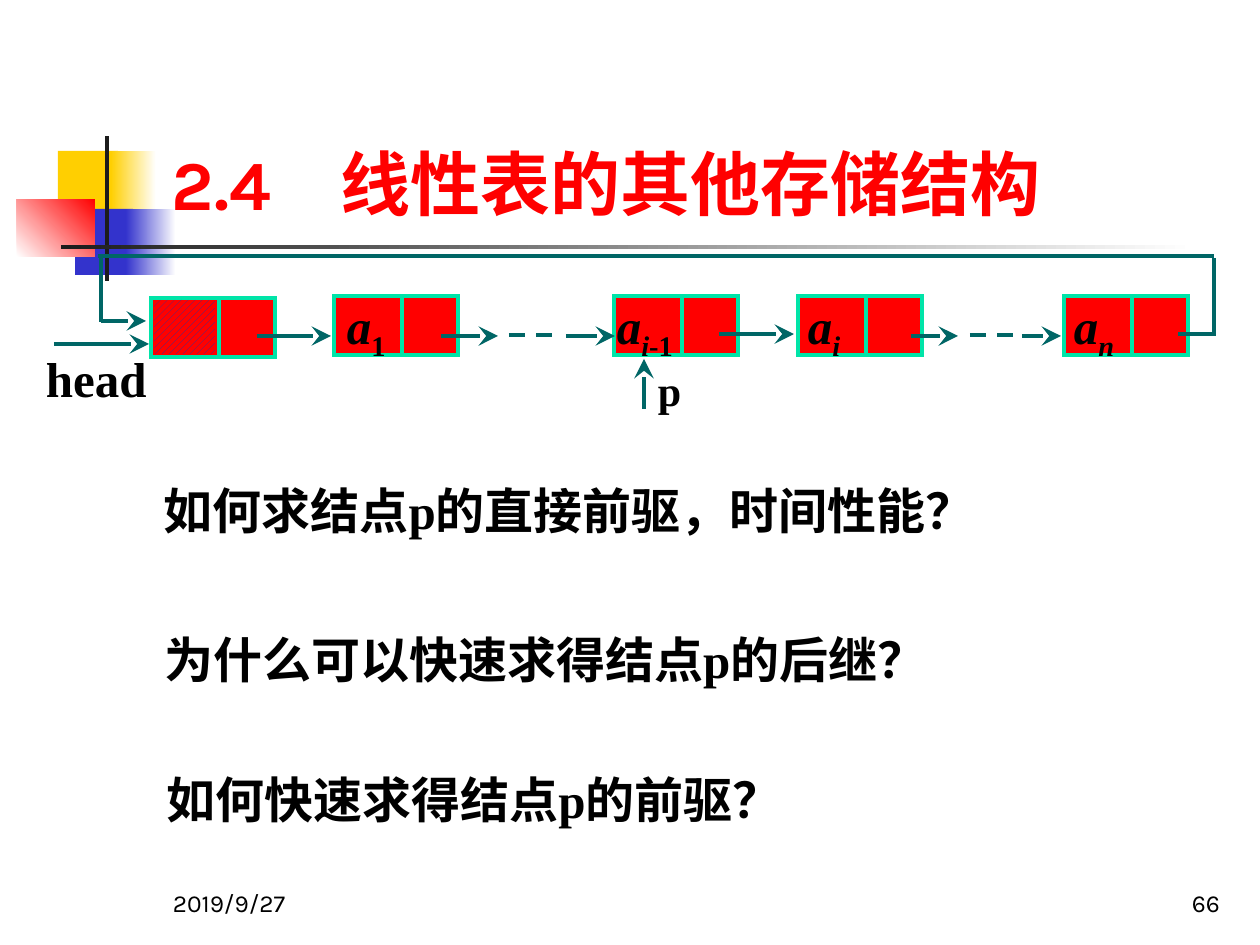
"""Build the slide on other storage structures for linear lists."""
from lxml import etree
from pptx import Presentation
from pptx.dml.color import RGBColor
from pptx.enum.dml import MSO_LINE, MSO_PATTERN
from pptx.enum.shapes import MSO_CONNECTOR, MSO_SHAPE
from pptx.enum.text import MSO_ANCHOR, PP_ALIGN
from pptx.oxml.ns import qn
from pptx.util import Emu, Pt

RECT = MSO_SHAPE.RECTANGLE
STRAIGHT = MSO_CONNECTOR.STRAIGHT
DASH = MSO_LINE.DASH
HATCH = MSO_PATTERN.WIDE_UPWARD_DIAGONAL
TOP, BOTTOM = MSO_ANCHOR.TOP, MSO_ANCHOR.BOTTOM
LEFT, RIGHT = PP_ALIGN.LEFT, PP_ALIGN.RIGHT

SERIF, SANS = "Times New Roman", "Karla"
BLACK, WHITE, RED = "000000", "FFFFFF", "FF0000"
TEAL, MINT, INK = "006666", "00E4A8", "1C1C1C"
YELLOW, BLUE, NAVY = "FFCF01", "3333CC", "333399"
NODE_WIDTH, NODE_HEIGHT, DATA_WIDTH = 124, 59, 68


def px(length):
    return Emu(round(length * 914400 / 126))


def rgb(value):
    return RGBColor.from_string(value)


def add_block(slide, x, y, w, h, color, end_color=None, angle=0):
    block = slide.shapes.add_shape(RECT, px(x), px(y), px(w), px(h))
    block.shadow.inherit = False
    block.line.fill.background()
    if end_color:
        block.fill.gradient()
        block.fill.gradient_angle = angle
        for stop, stop_color in zip(block.fill.gradient_stops, (color, end_color)):
            stop.color.rgb = rgb(stop_color)
    else:
        block.fill.solid()
        block.fill.fore_color.rgb = rgb(color)
    return block


def set_line(line, color):
    line.color.rgb = rgb(color)
    line.width = Pt(2.25)
    outline = line._get_or_add_ln()
    etree.SubElement(outline, qn("a:miter"), lim="800000")
    return outline


def add_line(slide, x1, y1, x2, y2, color=TEAL, arrow=False, dashed=False):
    link = slide.shapes.add_connector(STRAIGHT, px(x1), px(y1), px(x2), px(y2))
    outline = set_line(link.line, color)
    if dashed:
        link.line.dash_style = DASH
    if arrow:
        etree.SubElement(outline, qn("a:tailEnd"), type="stealth", w="lg", len="lg")
    etree.SubElement(link._element.spPr, qn("a:effectLst"))


def set_frame(frame, margins, anchor=TOP):
    frame.word_wrap = True
    frame.vertical_anchor = anchor
    (frame.margin_left, frame.margin_top,
     frame.margin_right, frame.margin_bottom) = map(px, margins)


def set_font(paragraph, size, face, color=BLACK, bold=True):
    paragraph.font.size = Pt(size)
    paragraph.font.name = face
    paragraph.font.bold = bold
    paragraph.font.color.rgb = rgb(color)


def add_text(slide, x, y, w, h, text, size, face=SERIF, color=BLACK, bold=True,
             margins=(13, 6, 13, 6), anchor=TOP, align=LEFT, tab=None):
    box = slide.shapes.add_textbox(px(x), px(y), px(w), px(h))
    set_frame(box.text_frame, margins, anchor)
    paragraph = box.text_frame.paragraphs[0]
    paragraph.add_run().text = text
    paragraph.alignment = align
    if tab:
        stops = etree.SubElement(paragraph._p.get_or_add_pPr(), qn("a:tabLst"))
        etree.SubElement(stops, qn("a:tab"), pos=str(px(tab)), algn="l")
    set_font(paragraph, size, face, color, bold)


def add_node(slide, x, y, indent=0, subscript=()):
    """Draw a list node; subscript holds (text, italic) pairs following "a"."""
    node = add_block(slide, x, y, NODE_WIDTH, NODE_HEIGHT, RED)
    set_line(node.line, MINT)
    if subscript:
        set_frame(node.text_frame, (indent, 0, 0, 10))
        paragraph = node.text_frame.paragraphs[0]
        paragraph.alignment = LEFT
        paragraph.line_spacing = 0.9
        set_font(paragraph, 28, SERIF)
        letter = paragraph.add_run()
        letter.text = "a"
        letter.font.italic = True
        for text, italic in subscript:
            index = paragraph.add_run()
            index.text = text
            index.font.italic = italic
            index._r.get_or_add_rPr().set("baseline", "-25000")
    divider = x + DATA_WIDTH
    add_line(slide, divider, y, divider, y + NODE_HEIGHT, MINT)


def add_decoration(slide):
    add_block(slide, 58, 151, 60, 66, YELLOW)
    add_block(slide, 111, 151, 45, 66, YELLOW, WHITE)
    add_block(slide, 75, 209, 58, 66, BLUE)
    add_block(slide, 126, 209, 50, 66, BLUE, WHITE)
    add_block(slide, 17, 199, 78, 58, WHITE, RED, 45)
    add_block(slide, 105, 136, 4, 145, INK)
    add_block(slide, 61, 245, 1134, 4, INK, WHITE)


def add_linked_list(slide):
    add_node(slide, 151, 298)
    hatch = add_block(slide, 154, 300, 61, 54, RED)
    hatch.fill.patterned()
    hatch.fill.pattern = HATCH
    hatch.fill.fore_color.rgb = rgb(NAVY)
    hatch.fill.back_color.rgb = rgb(RED)
    for x, indent, subscript in (
        (334, 13, [("1", False)]),
        (614, 3, [("i", True), ("-1", False)]),
        (798, 10, [("i", True)]),
        (1064, 10, [("n", True)]),
    ):
        add_node(slide, x, 296, indent, subscript)

    for x1, x2, y in ((54, 149, 344), (257, 331, 336), (441, 498, 336),
                      (566, 615, 336), (719, 794, 334), (911, 958, 336),
                      (1022, 1061, 336), (101, 146, 321)):
        add_line(slide, x1, y, x2, y, arrow=True)
    for x1, x2 in ((509, 552), (970, 1014)):
        add_line(slide, x1, 335, x2, 335, dashed=True)
    for loop_part in ((1212, 334, 1178, 334), (1214, 258, 1214, 336),
                      (98, 256, 1214, 256), (101, 255, 101, 322)):
        add_line(slide, *loop_part)
    add_line(slide, 644, 409, 644, 359, arrow=True)

    add_text(slide, 46, 349, 105, 64, "head", 28, margins=(0, 0, 0, 5))
    add_text(slide, 658, 365, 24, 50, "p", 24, margins=(0, 0, 0, 0))


def main():
    presentation = Presentation()
    presentation.slide_width, presentation.slide_height = px(1260), px(945)
    slide = presentation.slides.add_slide(presentation.slide_layouts[6])

    add_decoration(slide)
    add_text(slide, 159, 29, 1074, 202, "2.4\t线性表的其他存储结构", 40, SANS, RED,
             anchor=BOTTOM, tab=169)
    add_linked_list(slide)
    for x, y, question in (
        (151, 475, "如何求结点p的直接前驱，时间性能？"),
        (152, 623, "为什么可以快速求得结点p的后继？"),
        (154, 763, "如何快速求得结点p的前驱？"),
    ):
        add_text(slide, x, y, 906, 72, question, 28)
    for x, text, align in ((160, "2019/9/27", LEFT), (971, "66", RIGHT)):
        add_text(slide, x, 860, 262, 63, text, 14, SANS, bold=False,
                 anchor=BOTTOM, align=align)

    presentation.save("out.pptx")


if __name__ == "__main__":
    main()
